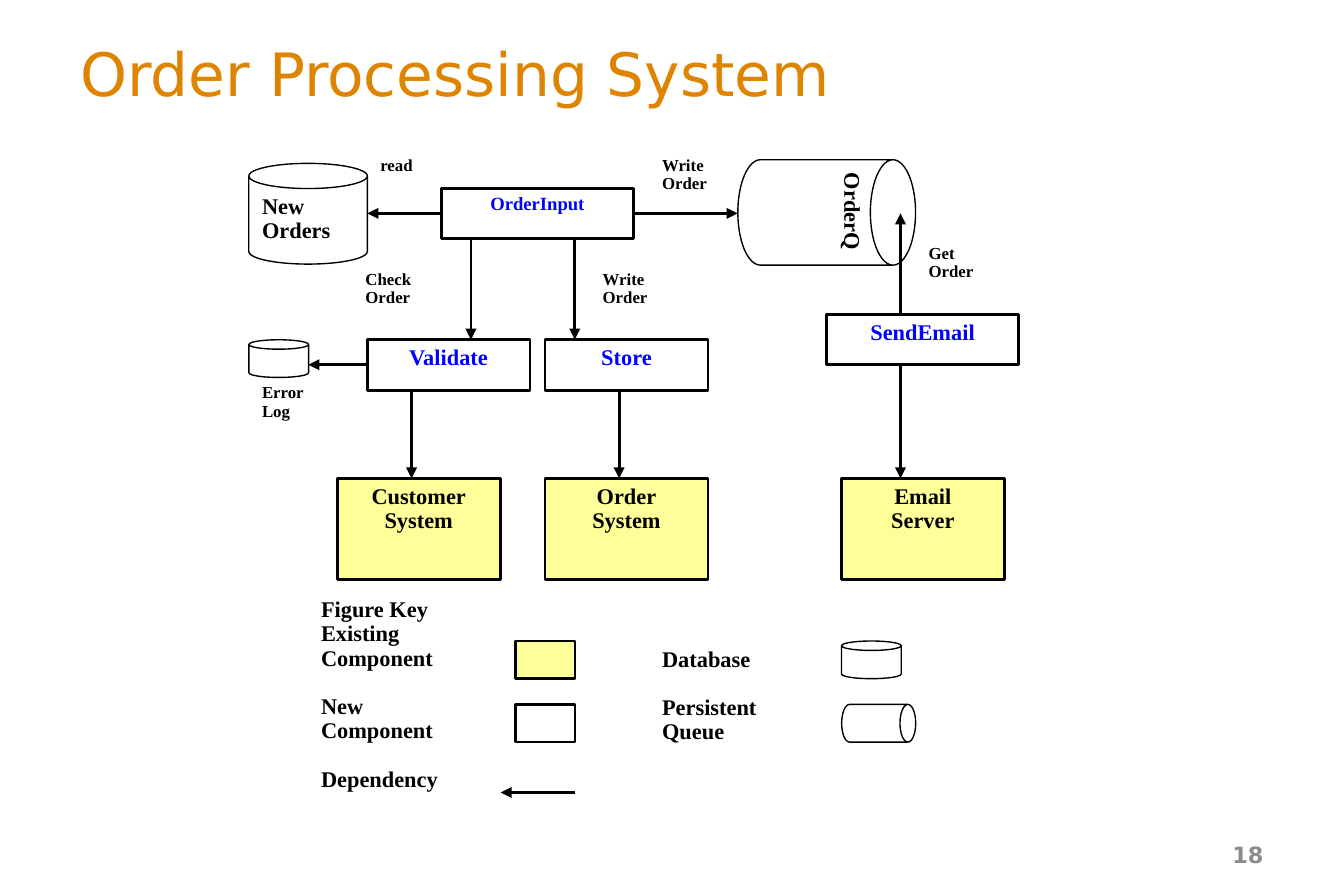
from pptx import Presentation
from pptx.dml.color import RGBColor
from pptx.enum import shapes, text
from pptx.oxml import parse_xml
from pptx.oxml.ns import nsdecls
from pptx.util import Pt

SERIF, SANS = "Times New Roman", "DejaVu Sans"
BLACK, BLUE, YELLOW, WHITE = "000000", "0000FF", "FFFF99", "FFFFFF"
ORANGE, GRAY = "DE8400", "8C8C8C"
LEFT, CENTER, RIGHT = text.PP_ALIGN.LEFT, text.PP_ALIGN.CENTER, text.PP_ALIGN.RIGHT
RECT, CAN = shapes.MSO_SHAPE.RECTANGLE, shapes.MSO_SHAPE.CAN
BLANK_LINE = 13  # gap between entries of the figure key

# Columns and rows shared by several parts
INPUT_Y, STEP_Y, SYSTEM_Y = 100.8, 182, 256.3
STEP_H, SYSTEM_H = 27, 54
KEY_W, KEY_H = 32, 20.2
KEY_Y = (343.4, 377.3)

# lines, x, y, width, font size
NEW_COMPONENTS = [
    (["OrderInput"], 236.4, INPUT_Y, 103, 10),
    (["Validate"], 196.7, STEP_Y, 87.3, 12),
    (["Store"], 292, STEP_Y, 87.3, 12),
    (["SendEmail"], 442.8, 168.5, 103, 12),
]
# lines, x
EXISTING_COMPONENTS = [
    (["Customer", "System"], 180.7),
    (["Order", "System"], 292),
    (["Email", "Server"], 450.8),
]
# lines, x, y, width, height, cap adjustment, rotation
CYLINDERS = [
    (["New", "Orders"], 133.3, 87.5, 63.5, 54, 0.25, 0),
    (["OrderQ"], 414.6, 66.2, 56.5, 95.2, 0.428, 90),
    ([], 133.3, STEP_Y, KEY_W, KEY_H, 0.25, 0),
    ([], 450.8, KEY_Y[0], KEY_W, KEY_H, 0.25, 0),
    ([], 460.6, 367.6, KEY_H, 39.7, 0.418, 90),
]
# start, end; the arrowhead is at the end
DEPENDENCIES = [
    ((236.4, 114.3), (196.8, 114.3)),
    ((339.4, 114.3), (395.2, 114.3)),
    ((252.3, 127.8), (252.3, STEP_Y)),
    ((307.9, 127.8), (307.9, STEP_Y)),
    ((196.7, 195.4), (165.2, 195.4)),
    ((220.5, 209), (220.5, SYSTEM_Y)),
    ((331.7, 209), (331.7, SYSTEM_Y)),
    ((482.4, 168.5), (482.4, 114.3)),
    ((482.4, 195.5), (482.4, SYSTEM_Y)),
    ((307.9, 424.6), (268.2, 424.6)),
]
# lines, x, y
LABELS = [
    (["read"], 196.7, 80.6),
    (["Write", "Order"], 347.6, 80.6),
    (["Check", "Order"], 188.7, 141.5),
    (["Write", "Order"], 315.8, 141.5),
    (["Get", "Order"], 490.4, 127.8),
    (["Error", "Log"], 133.3, 202.3),
]
# lines, x, y, height, indexes of lines with a gap above
KEY_TEXTS = [
    (["Figure Key", "Existing Component", "New", "Component", "Dependency"],
     164.9, 317, 121.7, (2, 4)),
    (["Database", "Persistent Queue"], 347.6, 343.6, 74.2, (1,)),
]


def color(code):
    return RGBColor.from_string(code)


def write(shape, lines, size, ink=BLACK, align=LEFT, font=SERIF, bold=True,
          anchor=text.MSO_ANCHOR.TOP, spacing=0.9, gaps=()):
    frame = shape.text_frame
    frame.word_wrap = True
    frame.vertical_anchor = anchor
    for index, line in enumerate(lines):
        paragraph = frame.paragraphs[0] if index == 0 else frame.add_paragraph()
        paragraph.alignment = align
        paragraph.line_spacing = spacing
        if index in gaps:
            paragraph.space_before = Pt(BLANK_LINE)
        run = paragraph.add_run()
        run.text = line
        run.font.name, run.font.size, run.font.bold = font, Pt(size), bold
        run.font.color.rgb = color(ink)


def add_shape(slide, kind, x, y, w, h, fill, line_width):
    shape = slide.shapes.add_shape(kind, Pt(x), Pt(y), Pt(w), Pt(h))
    shape.shadow.inherit = False
    shape.fill.solid()
    shape.fill.fore_color.rgb = color(fill)
    shape.line.color.rgb = color(BLACK)
    shape.line.width = Pt(line_width)
    return shape


def add_text(slide, x, y, w, h, lines, size, **style):
    write(slide.shapes.add_textbox(Pt(x), Pt(y), Pt(w), Pt(h)), lines, size, **style)


def add_arrow(slide, start, end):
    arrow = slide.shapes.add_connector(
        shapes.MSO_CONNECTOR.STRAIGHT, *(Pt(value) for value in start + end))
    arrow.line.color.rgb = color(BLACK)
    arrow.line.width = Pt(1.5)
    arrow.line._get_or_add_ln().append(
        parse_xml(f'<a:tailEnd {nsdecls("a")} type="triangle"/>'))
    arrow._element.spPr.append(parse_xml(f'<a:effectLst {nsdecls("a")}/>'))


def main():
    deck = Presentation()
    deck.slide_width, deck.slide_height = Pt(720), Pt(480)
    slide = deck.slides.add_slide(deck.slide_layouts[6])
    middle = text.MSO_ANCHOR.MIDDLE

    add_text(slide, 36, 20.2, 648, 37.4, ["Order Processing System"], 32, ink=ORANGE,
             font=SANS, bold=False, anchor=middle, spacing=1)

    for lines, x, y, w, size in NEW_COMPONENTS:
        box = add_shape(slide, RECT, x, y, w, STEP_H, WHITE, 1.5)
        write(box, lines, size, ink=BLUE, align=CENTER)
    for lines, x in EXISTING_COMPONENTS:
        box = add_shape(slide, RECT, x, SYSTEM_Y, 87.3, SYSTEM_H, YELLOW, 1.5)
        write(box, lines, 12, align=CENTER)
    for y, fill in zip(KEY_Y, (YELLOW, WHITE)):
        add_shape(slide, RECT, 276, y, KEY_W, KEY_H, fill, 1.5)

    for lines, x, y, w, h, cap, rotation in CYLINDERS:
        can = add_shape(slide, CAN, x, y, w, h, WHITE, 0.75)
        can.adjustments[0] = cap
        can.rotation = rotation
        can.text_frame.margin_right = 0
        write(can, lines, 12)

    for start, end in DEPENDENCIES:
        add_arrow(slide, start, end)
    for lines, x, y in LABELS:
        add_text(slide, x, y, 55, 34, lines, 9)
    for lines, x, y, h, gaps in KEY_TEXTS:
        add_text(slide, x, y, 95, h, lines, 12, gaps=gaps)

    add_text(slide, 516.2, 445, 167.8, 26, ["18"], 12, ink=GRAY, align=RIGHT,
             font=SANS, anchor=middle, spacing=1)
    deck.save("out.pptx")


if __name__ == "__main__":
    main()
